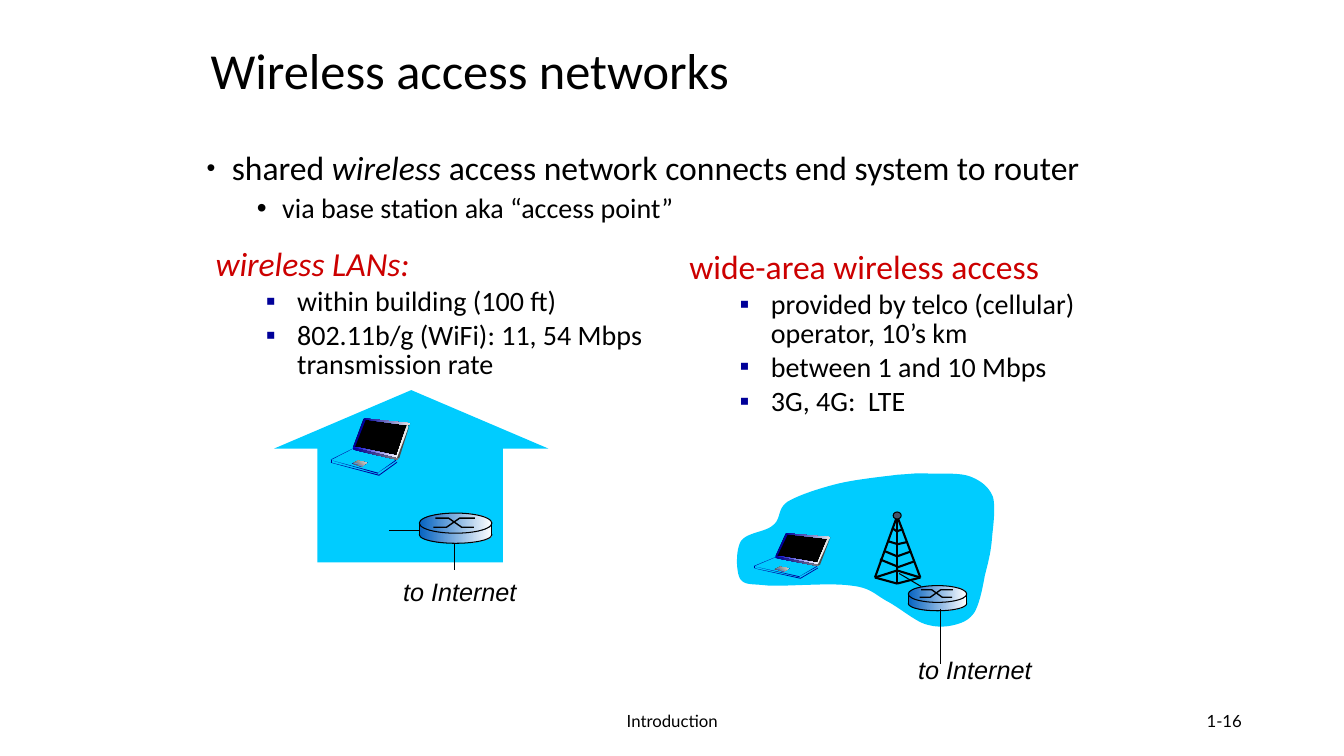
from dataclasses import dataclass

from lxml.etree import SubElement
from pptx import Presentation
from pptx.dml.color import RGBColor
from pptx.enum.shapes import MSO_CONNECTOR, MSO_SHAPE
from pptx.enum.text import MSO_ANCHOR, MSO_AUTO_SIZE, PP_ALIGN
from pptx.oxml.ns import qn
from pptx.util import Inches, Pt

W, H = Inches(13.33), Inches(7.5)
COLORS = {
    "black": "000000", "red": "CC0000", "cyan": "00CCFF", "navy": "000099",
    "blue": "0000CC", "router": "0563C1", "white": "FFFFFF", "slate": "44546A",
    "key": "5B9BD5", "dark": "4D4D4D", "gray": "808080", "light": "DDDDDD", "pale": "EAEAEA",
}

# Outlines on a laptop of 79 columns by 58 rows: fill, points
LAPTOP = [
    (("navy", "pale", 0), [(33, 0), (79, 5), (78, 7), (33, 1)]),
    ("navy", [(33, 0), (22, 29), (24, 29), (35, 1)]),
    (("light", "white", 270), [(78, 5), (67, 39), (65, 39), (76, 6)]),
    (("blue", "white", 0), [(23, 28), (22, 29), (67, 39), (65, 37)]),
    ("dark", [(79, 5), (68, 40), (66, 39)]),
    (("navy", "gray", 0), [(22, 29), (22, 31), (66, 41), (67, 40)]),
    ("navy", [(27, 42), (37, 44), (31, 48), (21, 45)]),
    (("dark", "light", 45), [(27, 42), (36, 44), (31, 48), (22, 45)]),
    ("key", [(23, 45), (24, 44), (28, 45), (26, 46)]),
    ("navy", [(23, 45), (27, 46), (26, 46)]),
    ("key", [(27, 46), (29, 46), (32, 47), (31, 48)]),
    ("navy", [(27, 47), (31, 48), (30, 48)]),
    ("navy", [(48, 56), (66, 43), (66, 44), (48, 57)]),
    ("navy", [(0, 44), (1, 44), (48, 56), (48, 57)]),
    ("navy", [(1, 41), (1, 44), (0, 44), (0, 41)]),
    ("navy", [(22, 30), (0, 41), (1, 41), (22.5, 30)]),
    ("navy", [(2, 42), (47, 54), (47, 55)]),
    ("navy", [(47, 54), (65, 42), (65, 41)]),
]
# Lines on a tower of 45 columns by 71 rows
TOWER = [
    (22, 4, 0, 65), (22, 4, 45, 65), (0, 65, 22, 71), (45, 65, 22, 71),
    (22, 6, 22, 71), (0, 65, 22, 58), (45, 65, 22, 58),
    (10, 39, 22, 44), (22, 44, 36, 39), (5, 47, 22, 54), (22, 55, 39, 49),
    (22, 32, 31, 30), (22, 19, 28, 17), (13, 29, 23, 32), (17, 16, 23, 20),
]
# Bezier segments of the coverage area: two controls and an end point each
COVERAGE_START = (161, 2)
COVERAGE = [
    ((145, 4), (115, 7), (97, 12)), ((78, 17), (61, 23), (51, 29)),
    ((41, 36), (45, 46), (37, 52)), ((30, 59), (11, 59), (5, 68)),
    ((0, 76), (0, 97), (4, 105)), ((9, 112), (14, 110), (32, 112)),
    ((51, 113), (94, 109), (114, 112)), ((133, 114), (137, 120), (149, 127)),
    ((161, 133), (176, 146), (187, 150)), ((199, 154), (209, 153), (217, 151)),
    ((225, 149), (232, 146), (237, 138)), ((242, 129), (245, 113), (247, 102)),
    ((250, 90), (253, 79), (254, 66)), ((255, 54), (258, 35), (255, 24)),
    ((251, 14), (243, 8), (233, 4)), ((223, 0), (205, 1), (193, 1)),
    ((181, 0), (177, 1), COVERAGE_START),
]


@dataclass
class Grid:
    """A box divided into columns and rows."""
    left: float
    top: float
    width: float
    height: float
    cols: float = 100
    rows: float = 100

    def at(self, x, y):
        return (round(self.left + self.width * x / self.cols),
                round(self.top + self.height * y / self.rows))

    def box(self, x, y, w, h):
        return (*self.at(x, y), round(self.width * w / self.cols), round(self.height * h / self.rows))

    def sub(self, x, y, w, h, cols, rows):
        return Grid(*self.box(x, y, w, h), cols, rows)


def rgb(name):
    return RGBColor.from_string(COLORS[name])


def paint(shape, fill=None, line=None):
    """Fill with a colour or a (from, to, angle) gradient; line is a width in points."""
    shape.shadow.inherit = False
    if fill is None:
        shape.fill.background()
    elif isinstance(fill, tuple):
        shape.fill.gradient()
        shape.fill.gradient_angle = fill[2]
        for stop, name in zip(shape.fill.gradient_stops, fill):
            stop.color.rgb = rgb(name)
    else:
        shape.fill.solid()
        shape.fill.fore_color.rgb = rgb(fill)
    if line:
        shape.line.color.rgb = rgb("black")
        shape.line.width = Pt(line)
    else:
        shape.line.fill.background()


def preset(s, kind, box, fill, line=None):
    paint(s.shapes.add_shape(kind, *box), fill, line)


def outline(s, grid, points, fill=None, line=None, close=True):
    start, *rest = [grid.at(*pt) for pt in points]
    builder = s.shapes.build_freeform(*start)
    builder.add_line_segments(rest, close=close)
    paint(builder.convert_to_shape(), fill, line)


def wire(s, grid, x1, y1, x2, y2, width=0.75):
    c = s.shapes.add_connector(MSO_CONNECTOR.STRAIGHT, *grid.at(x1, y1), *grid.at(x2, y2))
    c.line.color.rgb = rgb("black")
    c.line.width = Pt(width)
    SubElement(c._element.spPr, qn("a:effectLst"))


def write(tf, text, size, font="Calibri", color="black", italic=False, align=PP_ALIGN.LEFT,
          spacing=None, before=0, level=0, bullet=None, indent=(0, 0), bullet_color=None,
          bullet_size=100):
    """Add a paragraph; text between asterisks is italic."""
    p = tf.paragraphs[0] if not tf.text else tf.add_paragraph()
    p.level, p.alignment, p.space_before = level, align, Pt(before)
    if spacing:
        p.line_spacing = spacing
    if bullet:
        pPr = p._p.get_or_add_pPr()
        pPr.set("marL", str(Inches(indent[0])))
        pPr.set("indent", str(Inches(indent[1])))
        if bullet_color:
            SubElement(SubElement(pPr, qn("a:buClr")), qn("a:srgbClr"), val=COLORS[bullet_color])
        SubElement(pPr, qn("a:buSzPct"), val=str(bullet_size * 1000))
        SubElement(pPr, qn("a:buFont"), typeface="Arial")
        SubElement(pPr, qn("a:buChar"), char=bullet)
    for i, part in enumerate(text.split("*")):
        r = p.add_run()
        r.text = part
        r.font.name, r.font.size, r.font.color.rgb = font, Pt(size), rgb(color)
        r.font.italic = italic or i % 2 == 1


def text_frame(s, box, anchor=MSO_ANCHOR.TOP, wrap=True):
    tf = s.shapes.add_textbox(*box).text_frame
    tf.word_wrap, tf.vertical_anchor = wrap, anchor
    return tf


def place(placeholder, box, anchor):
    placeholder.left, placeholder.top, placeholder.width, placeholder.height = box
    tf = placeholder.text_frame
    tf.auto_size, tf.vertical_anchor = MSO_AUTO_SIZE.NONE, anchor
    return tf


def heading(s, page):
    tf = place(s.shapes.title, page.box(14.92, 2.53, 68.78, 14.4), MSO_ANCHOR.MIDDLE)
    write(tf, "Wireless access networks", 36, spacing=0.9)
    tf = place(s.placeholders[1], page.box(14.62, 19.33, 68.63, 12.67), MSO_ANCHOR.TOP)
    write(tf, "shared *wireless* access network connects end system to router", 24,
          spacing=0.9, bullet="•", indent=(0.25, -0.25), bullet_size=75)
    write(tf, "via base station aka “access point”", 20, spacing=0.9, before=5, level=1,
          bullet="•", indent=(0.75, -0.25))


def access_list(s, box, title, items, italic=False):
    tf = text_frame(s, box)
    write(tf, title, 24, color="red", italic=italic, spacing=0.85)
    for item in items:
        write(tf, item, 20, spacing=0.85, before=4, level=1, bullet="▪",
              indent=(0.81, -0.31), bullet_color="navy")


def laptop(s, g):
    outline(s, g, [(33, 1), (23, 28), (66, 39), (77, 6)], "black", 0.75)
    for fill, points in LAPTOP:
        outline(s, g, points, fill)


def router(s, g):
    metal = ("router", "white", 0)
    preset(s, MSO_SHAPE.OVAL, g.box(0, 13, 72, 17), metal, 0.75)
    preset(s, MSO_SHAPE.RECTANGLE, g.box(0, 11, 72, 11), metal)
    preset(s, MSO_SHAPE.OVAL, g.box(0, 0, 72, 20), metal, 0.75)
    for points in ([(14, 14), (27, 14), (40, 5), (55, 5)], [(16, 5), (29, 5), (42, 14), (54, 14)]):
        outline(s, g, points, line=1, close=False)
    for x in (0, 72):
        wire(s, g, x, 9, x, 23)


def tower(s, g):
    for ends in TOWER:
        wire(s, g, *ends, width=1.5)
    preset(s, MSO_SHAPE.OVAL, g.box(18, 0, 8, 7), "slate", 0.75)


def internet_label(s, box):
    write(text_frame(s, box, wrap=False), "to Internet", 18, font="Arial", italic=True)


def house(s, g):
    preset(s, MSO_SHAPE.RECTANGLE, g.box(43, 48, 184, 123), "cyan")
    preset(s, MSO_SHAPE.ISOSCELES_TRIANGLE, g.box(0, 0, 272, 58), "cyan")
    wire(s, g, 179, 153, 179, 178)
    wire(s, g, 114, 139, 145, 139)
    router(s, g.sub(144, 122, 72, 30, 72, 30))
    laptop(s, g.sub(56, 28, 79, 58, 79, 58))
    internet_label(s, g.box(118, 180, 133, 40))


def bezier(start, segments, steps=12):
    points = [start]
    for a, b, end in segments:
        p0 = points[-1]
        for t in (i / steps for i in range(1, steps + 1)):
            u = 1 - t
            points.append(tuple(u**3 * k0 + 3 * u * u * t * k1 + 3 * u * t * t * k2 + t**3 * k3
                                for k0, k1, k2, k3 in zip(p0, a, b, end)))
    return points


def cell(s, g):
    outline(s, g, bezier(COVERAGE_START, COVERAGE), "cyan")
    wire(s, g, 162, 100, 184, 113)
    tower(s, g.sub(138, 39, 45, 71, 45, 71))
    laptop(s, g.sub(18, 60, 76, 46, 79, 58))
    router(s, g.sub(171, 112, 58, 25, 72, 30))
    wire(s, g, 203, 135, 203, 190)
    internet_label(s, g.box(171, 175, 133, 40))


def footer(s, page):
    for text, left, width, align in (("Introduction", 33.15, 33.75, PP_ALIGN.CENTER),
                                     ("1-16", 70.65, 22.5, PP_ALIGN.RIGHT)):
        tf = text_frame(s, page.box(left, 92.67, width, 5.33), MSO_ANCHOR.MIDDLE)
        write(tf, text, 12, font="Lato", align=align)


def main():
    prs = Presentation()
    prs.slide_width, prs.slide_height = W, H
    s = prs.slides.add_slide(prs.slide_layouts[1])
    page = Grid(0, 0, W, H)
    heading(s, page)
    access_list(s, page.box(15.3, 32.27, 33.45, 20), "wireless LANs:",
                ["within building (100 ft)", "802.11b/g (WiFi): 11, 54 Mbps transmission rate"],
                italic=True)
    access_list(s, page.box(50.55, 32.67, 37.88, 32.13), "wide-area wireless access",
                ["provided by telco (cellular) operator, 10’s km", "between 1 and 10 Mbps",
                 "3G, 4G:  LTE"])
    house(s, page.sub(20.4, 51.6, 20.4, 22.8, 272, 171))
    cell(s, page.sub(54.75, 62.53, 19.43, 20.53, 259, 154))
    footer(s, page)
    prs.save("out.pptx")


if __name__ == "__main__":
    main()
